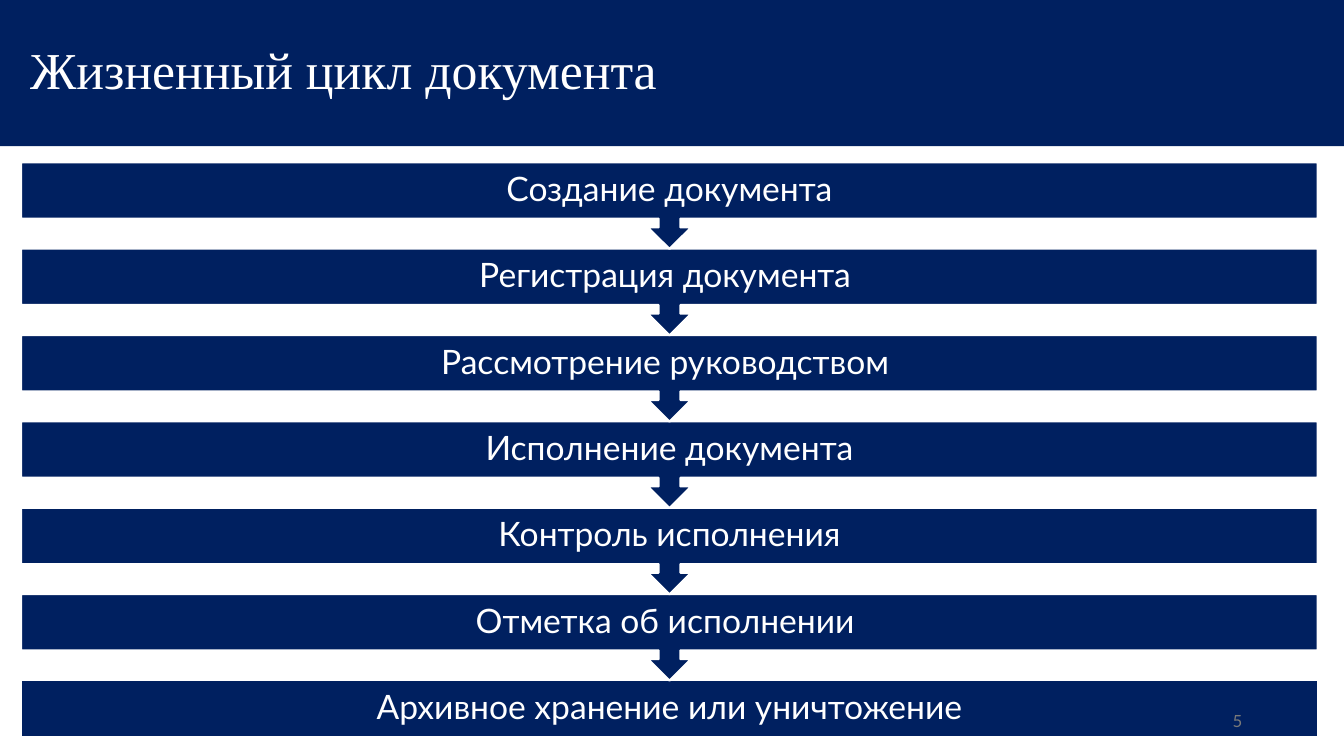
"""Build the document life cycle slide: a title band and a chain of seven stages."""
from dataclasses import dataclass

from pptx import Presentation
from pptx.dml.color import RGBColor
from pptx.enum.shapes import MSO_SHAPE
from pptx.enum.text import MSO_ANCHOR, PP_ALIGN
from pptx.util import Inches, Pt

RECT, CALLOUT = MSO_SHAPE.RECTANGLE, MSO_SHAPE.UP_ARROW_CALLOUT
LEFT, CENTER, RIGHT = PP_ALIGN.LEFT, PP_ALIGN.CENTER, PP_ALIGN.RIGHT
MIDDLE = MSO_ANCHOR.MIDDLE


@dataclass(frozen=True)
class Theme:
    """Colours, fonts and type sizes of the slide."""
    navy: RGBColor = RGBColor(0x00, 0x20, 0x60)
    white: RGBColor = RGBColor(0xFF, 0xFF, 0xFF)
    gray: RGBColor = RGBColor(0x79, 0x79, 0x79)
    body_font: str = "Lato"
    title_font: str = "Times New Roman"
    title_size: int = 37
    stage_size: int = 24
    number_size: int = 12


theme = Theme()


def write(sp, text, *, size, color=theme.white, font=theme.body_font,
          align=CENTER, spacing=None, inset=None):
    """Write one formatted paragraph into a shape and return it."""
    tf = sp.text_frame
    tf.word_wrap = True
    tf.vertical_anchor = MIDDLE
    if inset is not None:
        tf.margin_left = tf.margin_right = Inches(inset)
        tf.margin_top = tf.margin_bottom = Inches(inset)
    p = tf.paragraphs[0]
    p.alignment = align
    p.line_spacing = spacing
    r = p.add_run()
    r.text = text
    r.font.name = font
    r.font.size = Pt(size)
    r.font.color.rgb = color
    return p


def add_block(shapes, kind, left, top, width, height):
    """Add a navy shape without shadow or outline."""
    sp = shapes.add_shape(kind, Inches(left), Inches(top), Inches(width), Inches(height))
    sp.shadow.inherit = False
    sp.fill.solid()
    sp.fill.fore_color.rgb = theme.navy
    sp.line.fill.background()
    return sp


prs = Presentation()
prs.slide_width, prs.slide_height = Inches(13.33), Inches(7.5)
s = prs.slides.add_slide(prs.slide_layouts[6])

stages = [
    "Создание документа",
    "Регистрация документа ",
    "Рассмотрение руководством ",
    "Исполнение документа",
    "Контроль исполнения",
    "Отметка об исполнении ",
    "Архивное хранение или уничтожение",
]
stage_left, stage_width, bar_height, callout_height = 0.21, 12.86, 0.56, 0.86
first_top, last_top = 1.61, 6.75
last = len(stages) - 1
step = (last_top - first_top) / last

chain = s.shapes.add_group_shape()
for i, stage in reversed(list(enumerate(stages))):
    top = first_top + i * step
    kind, height = (RECT, bar_height) if i == last else (CALLOUT, callout_height)
    sp = add_block(chain.shapes, kind, stage_left, top, stage_width, height)
    sp.rotation = 0 if i == last else 180
    sp.line.color.rgb = theme.white
    sp.line.width = Pt(1.5)
    label = chain.shapes.add_textbox(Inches(stage_left), Inches(top),
                                     Inches(stage_width), Inches(bar_height))
    write(label, stage, size=theme.stage_size, spacing=0.9, inset=0.19)

band = add_block(s.shapes, RECT, 0, 0, 13.33, 1.45)
p = write(band, "Жизненный цикл документа", size=theme.title_size,
          font=theme.title_font, align=LEFT, spacing=0.9)
p._p.get_or_add_pPr().set("indent", str(Inches(0.2)))

number = s.shapes.add_textbox(Inches(9.42), Inches(6.95), Inches(3), Inches(0.4))
write(number, "5", size=theme.number_size, color=theme.gray, align=RIGHT)

prs.save("out.pptx")
